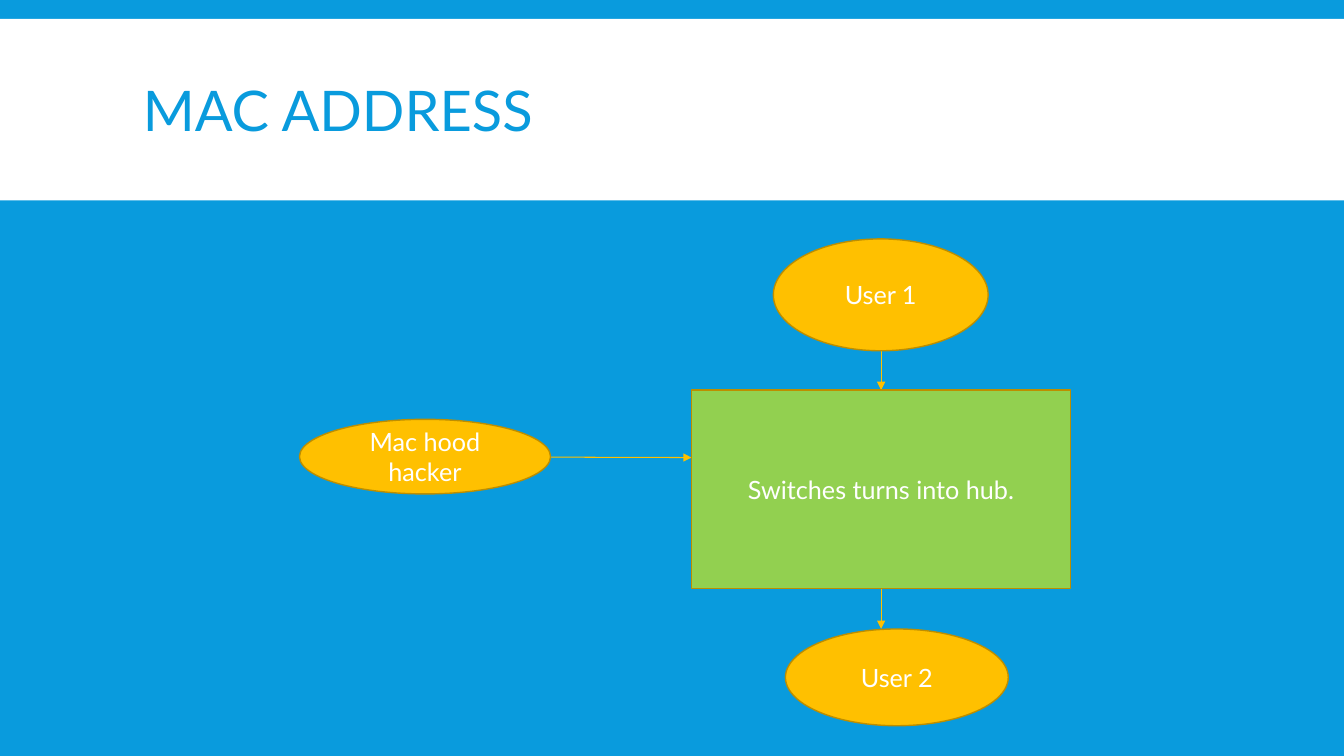
from lxml import etree
from pptx import Presentation
from pptx.dml.color import RGBColor
from pptx.enum.shapes import MSO_CONNECTOR, MSO_SHAPE
from pptx.enum.text import MSO_ANCHOR, PP_ALIGN
from pptx.oxml.ns import qn
from pptx.util import Inches, Pt

RECTANGLE, OVAL = MSO_SHAPE.RECTANGLE, MSO_SHAPE.OVAL
STRAIGHT = MSO_CONNECTOR.STRAIGHT
MIDDLE, CENTER = MSO_ANCHOR.MIDDLE, PP_ALIGN.CENTER
BLUE, WHITE, GOLD, GREEN, BROWN = "099BDD", "FFFFFF", "FFC000", "92D050", "BD8E00"

presentation = Presentation()
presentation.slide_width, presentation.slide_height = Inches(13.33), Inches(7.5)
slide = presentation.slides.add_slide(presentation.slide_layouts[6])


def color(hex_string):
    return RGBColor.from_string(hex_string)


def place(*percents):
    """Turn alternating horizontal and vertical percentages of the slide into lengths."""
    sides = (presentation.slide_width, presentation.slide_height) * 2
    return [int(side * percent / 100) for side, percent in zip(sides, percents)]


# Background and title band
slide.background.fill.solid()
slide.background.fill.fore_color.rgb = color(BLUE)
band = slide.shapes.add_shape(RECTANGLE, *place(0, 2.5, 100, 24))
band.shadow.inherit = False
band.fill.solid()
band.fill.fore_color.rgb = color(WHITE)
band.line.fill.background()

# Title
title = slide.shapes.add_textbox(*place(9.9, 4.1, 80.3, 22)).text_frame
title.word_wrap = True
title.vertical_anchor = MIDDLE
title.text = "MAC ADDRESS"
paragraph = title.paragraphs[0]
paragraph.line_spacing = 0.85
paragraph.font.name, paragraph.font.size = "Lato", Pt(40)
paragraph.font.color.rgb = color(BLUE)

# Arrows into and out of the switch
switch_left, switch_top, switch_width, switch_height = 51.46, 51.6, 28.2, 26.27
switch_middle = switch_left + switch_width / 2
switch_bottom = switch_top + switch_height
user_1_bottom, user_2_top = 46.4, 83.2
arrows = [
    (27.98, 60.4, switch_left, 60.53),
    (switch_middle, user_1_bottom, switch_middle, switch_top),
    (switch_middle, switch_bottom, switch_middle, user_2_top),
]
for ends in arrows:
    arrow = slide.shapes.add_connector(STRAIGHT, *place(*ends))
    arrow.line.color.rgb = color(GOLD)
    arrow.line.width = Pt(0.75)
    etree.SubElement(arrow.line._get_or_add_ln(), qn("a:tailEnd"), type="triangle")
    etree.SubElement(arrow._element.spPr, qn("a:effectLst"))

# Switch, users and hacker
nodes = [
    ("Switches turns into hub.", RECTANGLE, GREEN,
     (switch_left, switch_top, switch_width, switch_height)),
    ("User 1", OVAL, GOLD, (57.54, 31.6, 15.98, user_1_bottom - 31.6)),
    ("User 2", OVAL, GOLD, (58.44, user_2_top, 16.58, 12.8)),
    ("Mac hood hacker", OVAL, GOLD, (22.28, 55.47, 18.68, 9.87)),
]
for text, outline, fill, box in nodes:
    node = slide.shapes.add_shape(outline, *place(*box))
    node.shadow.inherit = False
    node.fill.solid()
    node.fill.fore_color.rgb = color(fill)
    node.line.color.rgb = color(BROWN)
    node.line.width = Pt(1)
    node.text_frame.word_wrap = True
    node.text_frame.vertical_anchor = MIDDLE
    node.text_frame.text = text
    paragraph = node.text_frame.paragraphs[0]
    paragraph.alignment = CENTER
    paragraph.font.name, paragraph.font.size = "Lato", Pt(18)
    paragraph.font.color.rgb = color(WHITE)

presentation.save("out.pptx")
